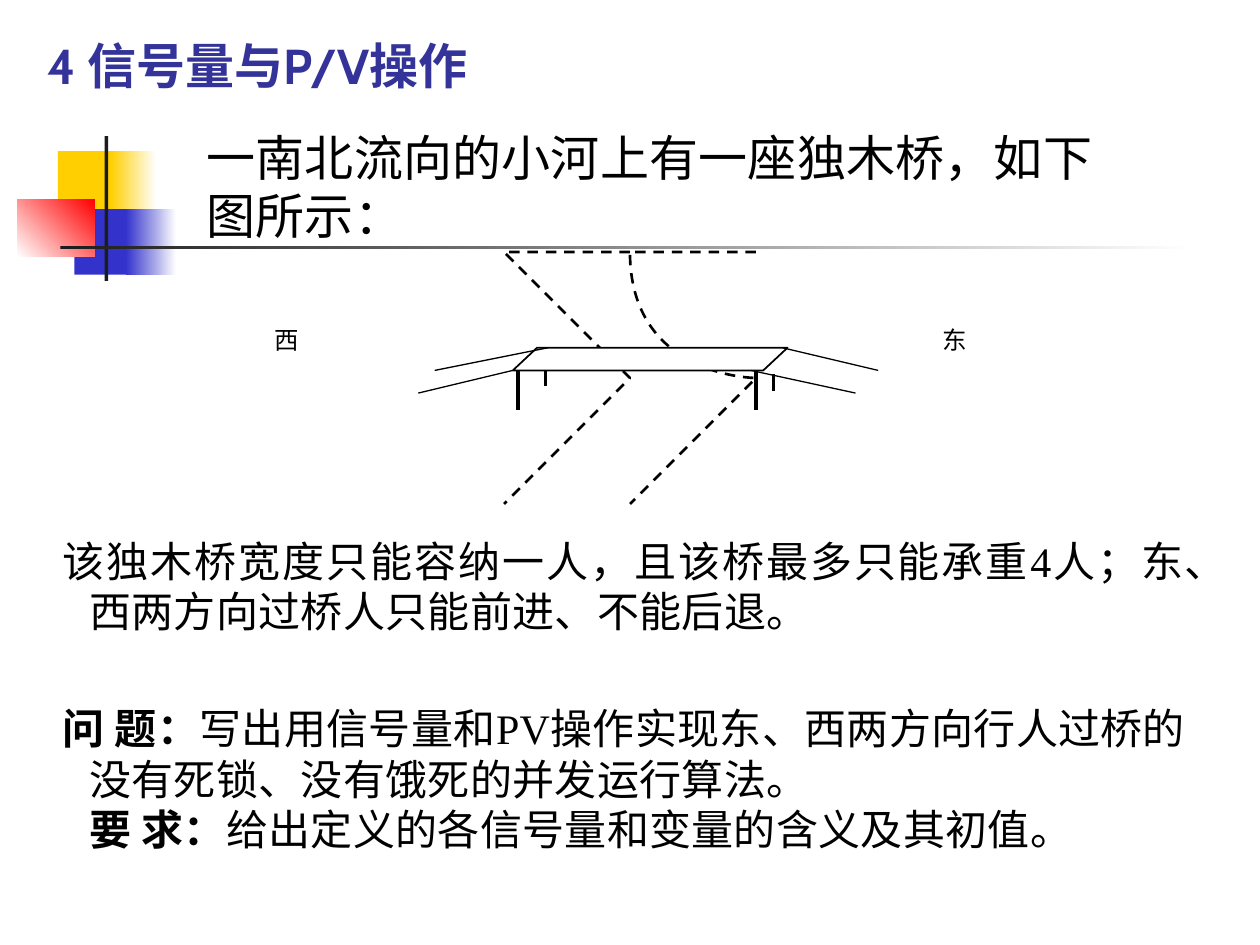
from typing import NamedTuple, Optional

from pptx import Presentation
from pptx.dml.color import RGBColor
from pptx.enum.dml import MSO_LINE
from pptx.enum.shapes import MSO_CONNECTOR, MSO_SHAPE
from pptx.enum.text import MSO_ANCHOR, MSO_AUTO_SIZE, PP_ALIGN
from pptx.oxml.ns import qn
from pptx.util import Inches, Pt

RECT, PARALLELOGRAM = MSO_SHAPE.RECTANGLE, MSO_SHAPE.PARALLELOGRAM
STRAIGHT, DASH = MSO_CONNECTOR.STRAIGHT, MSO_LINE.DASH
LEFT, JUSTIFY = PP_ALIGN.LEFT, PP_ALIGN.JUSTIFY
TOP, GROW = MSO_ANCHOR.TOP, MSO_AUTO_SIZE.SHAPE_TO_FIT_TEXT
BLACK, WHITE, YELLOW, BLUE = "000000", "FFFFFF", "FFCF01", "3333CC"
RED, DARK, TITLE_BLUE = "FF0000", "1C1C1C", "333399"
SPACING = 20  # hundredths of a point


class Block(NamedTuple):
    x: float
    y: float
    w: float
    h: float
    color: str
    to_color: Optional[str] = None
    angle: float = 0


class Stroke(NamedTuple):
    x1: float
    y1: float
    x2: float
    y2: float
    width: float


class Para(NamedTuple):
    runs: list[tuple[str, bool]]
    align: PP_ALIGN = LEFT
    indent: float = 0
    before: float = 0


BLOCKS = [
    Block(0.46, 1.2, 0.48, 0.52, YELLOW),
    Block(0.88, 1.2, 0.36, 0.52, YELLOW, WHITE),
    Block(0.59, 1.66, 0.46, 0.52, BLUE),
    Block(1, 1.66, 0.4, 0.52, BLUE, WHITE),
    Block(0.14, 1.58, 0.61, 0.46, WHITE, RED, 45),
    Block(0.83, 1.08, 0.03, 1.15, DARK),
    Block(0.48, 1.95, 9, 0.03, DARK, WHITE),
]
# Each bank: a start point, then three points per Bezier segment
BANKS = [
    [(4.97, 1.95), (4.39, 2.01), (3.81, 2.07), (3.78, 2.27), (3.76, 2.47),
     (4.85, 2.86), (4.81, 3.13), (4.77, 3.41), (3.76, 3.8), (3.55, 3.93)],
    [(5.95, 2.08), (5.37, 2.14), (4.79, 2.19), (4.76, 2.38), (4.74, 2.57),
     (5.83, 2.96), (5.79, 3.22), (5.75, 3.49), (4.75, 3.85), (4.54, 3.98)],
]
ROADS = [
    Stroke(4.07, 2.94, 3.32, 3.12, 0.75),
    Stroke(4.35, 2.76, 3.45, 2.94, 0.75),
    Stroke(5.96, 2.94, 6.79, 3.12, 0.75),
    Stroke(6.21, 2.76, 6.97, 2.94, 0.75),
]
LEGS = [
    Stroke(4.11, 2.94, 4.11, 3.25, 2),
    Stroke(6, 2.94, 6, 3.25, 2),
    Stroke(6.14, 2.97, 6.14, 3.1, 1.75),
    Stroke(4.33, 2.94, 4.33, 3.06, 2),
]
HANGING = -0.21
BODY = [
    Para([("该独木桥宽度只能容纳一人，且该桥最多只能承重4人；东、西两方向过桥人只能前进、不能后退。", False)],
         JUSTIFY, HANGING),
    Para([("问 题：", True),
          ("写出用信号量和PV操作实现东、西两方向行人过桥的没有死锁、没有饿死的并发运行算法。", False)],
         LEFT, HANGING, 38),
    Para([("要 求：", True), ("给出定义的各信号量和变量的含义及其初值。", False)]),
]


def rgb(color: str) -> RGBColor:
    return RGBColor.from_string(color)


def place(sp, x: float, y: float, w: float, h: float) -> None:
    sp.left, sp.top, sp.width, sp.height = map(Inches, (x, y, w, h))


def add_block(s, b: Block) -> None:
    sp = s.shapes.add_shape(RECT, *map(Inches, b[:4]))
    sp.shadow.inherit = False
    sp.line.fill.background()
    if b.to_color is None:
        sp.fill.solid()
        sp.fill.fore_color.rgb = rgb(b.color)
        return
    sp.fill.gradient()
    sp.fill.gradient_angle = b.angle
    for stop, color in zip(sp.fill.gradient_stops, (b.color, b.to_color)):
        stop.color.rgb = rgb(color)


def add_bank(s, points: list[tuple[float, float]]) -> None:
    """Draw a dashed curve, turning each three line segments into one Bezier."""
    builder = s.shapes.build_freeform(*points[0], scale=Inches(1))
    builder.add_line_segments(points[1:], close=False)
    sp = builder.convert_to_shape()
    sp.shadow.inherit = False
    sp.fill.background()
    sp.line.color.rgb = rgb(BLACK)
    sp.line.width = Pt(1.5)
    sp.line.dash_style = DASH
    lines = list(sp.element.iter(qn("a:lnTo")))
    for i in range(0, len(lines), 3):
        curve = lines[i].makeelement(qn("a:cubicBezTo"))
        lines[i].addprevious(curve)
        for line in lines[i:i + 3]:
            curve.append(line[0])
            line.getparent().remove(line)


def add_deck(s) -> None:
    sp = s.shapes.add_shape(PARALLELOGRAM, *map(Inches, (4.07, 2.76, 2.18, 0.18)))
    sp.adjustments[0] = 1.07
    sp.shadow.inherit = False
    sp.fill.solid()
    sp.fill.fore_color.rgb = rgb(WHITE)
    sp.line.color.rgb = rgb(BLACK)
    sp.line.width = Pt(1)


def add_stroke(s, k: Stroke) -> None:
    line = s.shapes.add_connector(STRAIGHT, *map(Inches, k[:4]))
    line.line.color.rgb = rgb(BLACK)
    line.line.width = Pt(k.width)
    props = line.element.spPr
    props.append(props.makeelement(qn("a:effectLst")))


def write(sp, paras: list[Para], font: str, size: float, color: str = BLACK,
          spacing: int = 0, margin: float = 0) -> None:
    tf = sp.text_frame
    tf.word_wrap = True
    tf.vertical_anchor = TOP
    for i, para in enumerate(paras):
        p = tf.add_paragraph() if i else tf.paragraphs[0]
        p.alignment = para.align
        if para.before:
            p.space_before = Pt(para.before)
        if margin:
            props = p._p.get_or_add_pPr()
            props.set("marL", str(Inches(margin)))
            props.set("indent", str(Inches(para.indent)))
        for text, bold in para.runs:
            r = p.add_run()
            r.text = text
            r.font.name, r.font.size, r.font.bold = font, Pt(size), bold
            r.font.color.rgb = rgb(color)
            if spacing:
                r.font._element.set("spc", str(spacing))


def add_text(s, x: float, y: float, w: float, h: float):
    return s.shapes.add_textbox(*map(Inches, (x, y, w, h)))


def add_bank_label(s, x: float, text: str) -> None:
    sp = add_text(s, x, 2.58, 0.38, 0.54)
    tf = sp.text_frame
    tf.margin_left = tf.margin_top = tf.margin_right = tf.margin_bottom = 0
    write(sp, [Para([(text, False)], JUSTIFY)], "Calibri", 14)


def main() -> None:
    prs = Presentation()
    prs.slide_width, prs.slide_height = Inches(10), Inches(7.5)
    s = prs.slides.add_slide(prs.slide_layouts[5])

    title = s.shapes.title
    place(title, 0.28, 0.23, 4.08, 0.57)
    write(title, [Para([("4 信号量与P/V操作", True)])], "Cabin", 28, TITLE_BLUE)
    title.text_frame.auto_size = GROW

    for block in BLOCKS:
        add_block(s, block)
    for bank in BANKS:
        add_bank(s, bank)
    add_deck(s)
    for stroke in ROADS + LEGS:
        add_stroke(s, stroke)
    add_bank_label(s, 2.18, "西")
    add_bank_label(s, 7.48, "东")

    intro = add_text(s, 1.54, 0.96, 7.46, 1.04)
    write(intro, [Para([("一南北流向的小河上有一座独木桥，如下图所示：", False)])],
          "Cabin", 28, spacing=SPACING)
    body = add_text(s, 0.11, 4.2, 9.73, 2.66)
    write(body, BODY, "Times New Roman", 24, spacing=SPACING, margin=0.5)

    prs.save("out.pptx")


if __name__ == "__main__":
    main()
